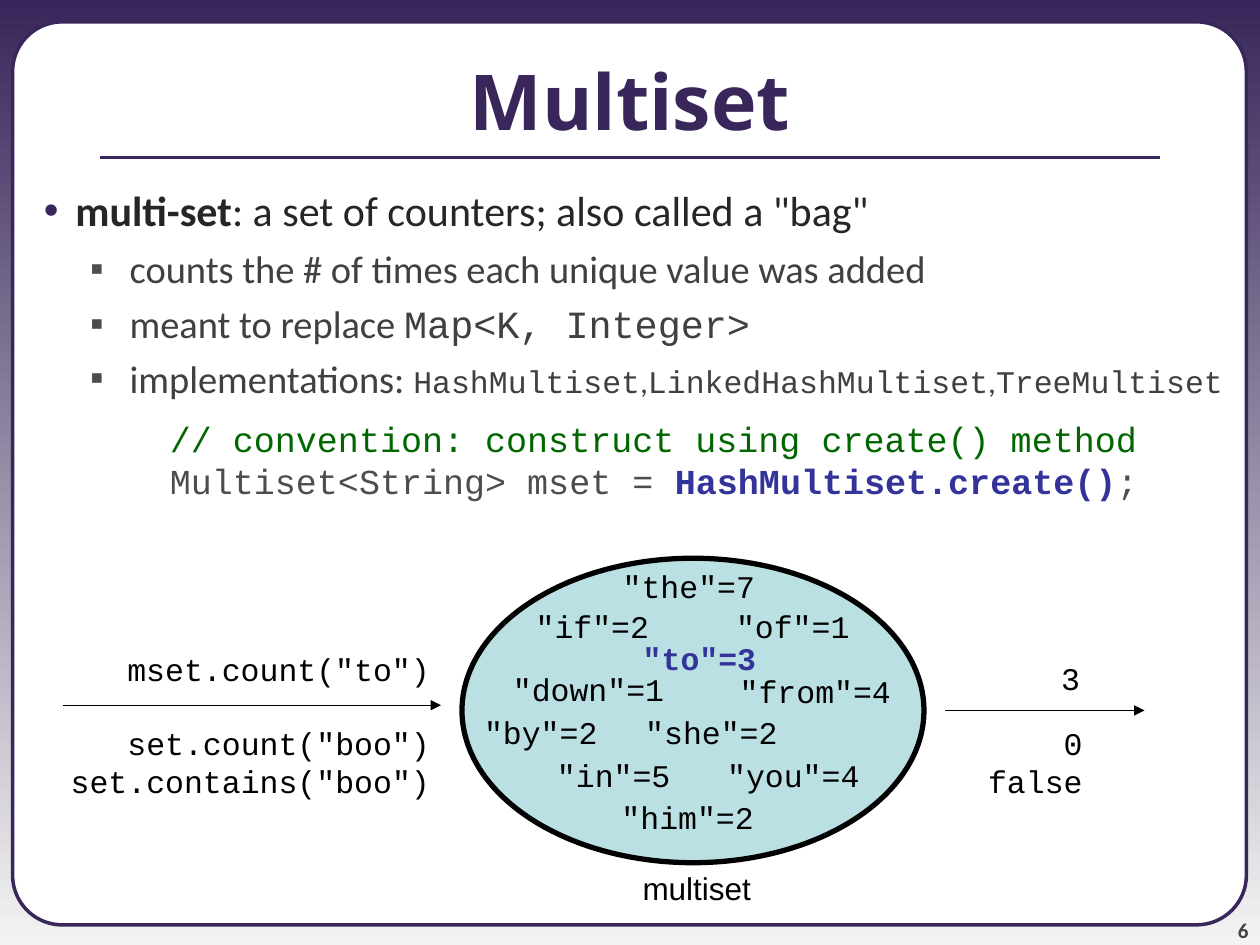
from lxml.etree import SubElement
from pptx import Presentation
from pptx.dml.color import RGBColor
from pptx.enum.shapes import MSO_CONNECTOR as CONN, MSO_SHAPE as SHAPE
from pptx.enum.text import MSO_ANCHOR as ANCHOR, MSO_AUTO_SIZE as AUTO, PP_ALIGN as ALIGN
from pptx.oxml.ns import qn
from pptx.util import Pt

rgb = RGBColor.from_string
PURPLE, BLACK, BLUE = "39275B", "000000", "333399"
GRAY, CODE_GRAY = "404040", "4D4D4D"
SANS, MONO = "Calibri", "Courier New"

prs = Presentation()
prs.slide_width, prs.slide_height = Pt(720), Pt(540)
s = prs.slides.add_slide(prs.slide_layouts[6])


def add_text(x, y, w, h, lines, align=ALIGN.LEFT, wrap=True):
    """Each line is a list of runs: (text, size, font, colour, bold)."""
    tf = s.shapes.add_textbox(Pt(x), Pt(y), Pt(w), Pt(h)).text_frame
    tf.word_wrap = wrap
    tf.auto_size = AUTO.NONE if wrap else AUTO.SHAPE_TO_FIT_TEXT
    for i, runs in enumerate(lines):
        p = tf.add_paragraph() if i else tf.paragraphs[0]
        p.alignment = align
        for text, size, font, color, bold in runs:
            r = p.add_run()
            r.text = text
            r.font.size, r.font.name, r.font.bold = Pt(size), font, bold
            r.font.color.rgb = rgb(color)
    return tf


def add_line(x1, x2, y, color, width, arrow=False):
    c = s.shapes.add_connector(CONN.STRAIGHT, Pt(x1), Pt(y), Pt(x2), Pt(y))
    c.line.color.rgb = rgb(color)
    c.line.width = Pt(width)
    if arrow:
        SubElement(c.line._get_or_add_ln(), qn("a:tailEnd"), type="triangle")
    SubElement(c._element.spPr, qn("a:effectLst"))


# Background gradient and white panel
bg = s.background.fill
bg.gradient()
bg.gradient_angle = 270
for stop, color in zip(bg.gradient_stops, (PURPLE, "F3F3F3")):
    stop.color.rgb = rgb(color)

panel = s.shapes.add_shape(SHAPE.ROUNDED_RECTANGLE, Pt(7.2), Pt(12.5), Pt(705), Pt(516))
panel.adjustments[0] = 0.055
panel.shadow.inherit = False
panel.fill.solid()
panel.fill.fore_color.rgb = rgb("FFFFFF")
panel.line.color.rgb = rgb(PURPLE)
panel.line.width = Pt(2)

# Slide number
tf = add_text(654, 510, 59.5, 28.5, [[("6", 12, SANS, "424242", True)]], ALIGN.RIGHT)
tf.vertical_anchor = ANCHOR.BOTTOM
tf.margin_left = tf.margin_right = tf.margin_top = tf.margin_bottom = 0

# Title with rule
add_line(57, 663, 90, PURPLE, 2.25)
tf = add_text(0, 12, 720, 90, [[("Multiset", 44, "Noto Sans", PURPLE, True)]], ALIGN.CENTER)
tf.vertical_anchor = ANCHOR.MIDDLE

# Bullets and code
comma = (",", 18, SANS, GRAY, False)
body = [
    [("multi-set", 24, SANS, "262626", True),
     (': a set of counters; also called a "bag"', 24, SANS, "262626", False)],
    [("counts the # of times each unique value was added", 22, SANS, GRAY, False)],
    [("meant to replace ", 22, SANS, GRAY, False),
     ("Map<K, Integer>", 22, MONO, GRAY, False)],
    [("implementations: ", 22, SANS, GRAY, False),
     ("HashMultiset", 18, MONO, GRAY, False), comma,
     ("LinkedHashMultiset", 18, MONO, GRAY, False), comma,
     ("TreeMultiset", 18, MONO, GRAY, False)],
    [("// convention: construct using create() method", 20, MONO, "006600", False)],
    [("Multiset<String> mset = ", 20, MONO, CODE_GRAY, False),
     ("HashMultiset.create()", 20, MONO, BLUE, True),
     (";", 20, MONO, CODE_GRAY, False)],
]
tf = add_text(0, 102, 720, 438, body)
# level: left margin, indent, bullet, bullet colour
levels = [(36, -18, "•", PURPLE), (67, -22.5, "▪", CODE_GRAY), (90, 0, None, None)]
layout = [(0, 0), (1, 5.5), (1, 5.5), (1, 4.5), (2, 14), (2, 5)]
for p, (level, before) in zip(tf.paragraphs, layout):
    margin, indent, bullet, color = levels[level]
    p.level = level
    pPr = p._p.get_or_add_pPr()
    pPr.set("marL", str(Pt(margin)))
    pPr.set("indent", str(Pt(indent)))
    if bullet:
        SubElement(SubElement(pPr, qn("a:buClr")), qn("a:srgbClr"), val=color)
        SubElement(pPr, qn("a:buFont"), typeface="Arial")
        SubElement(pPr, qn("a:buChar"), char=bullet)
    else:
        SubElement(pPr, qn("a:buNone"))
        p.line_spacing = 0.8
    p.space_before = Pt(before)

# Multiset ellipse
bag = s.shapes.add_shape(SHAPE.OVAL, Pt(264), Pt(319), Pt(264), Pt(174))
bag.shadow.inherit = False
bag.fill.solid()
bag.fill.fore_color.rgb = rgb("BBE0E3")
bag.line.color.rgb = rgb(BLACK)
bag.line.width = Pt(3)
add_text(360, 493.2, 76.3, 29, [[("multiset", 18, "Arial", BLACK, False)]], ALIGN.RIGHT, False)

# Call and result arrows
add_line(36, 252, 403, BLACK, 0.75, True)
add_line(540, 654, 406, BLACK, 0.75, True)

# Monospaced labels: right edge, top, lines
labels = [
    (252.7, 368, ['mset.count("to")']),
    (252.7, 410.4, ['set.count("boo")', 'set.contains("boo")']),
    (624.2, 373, ["3"]),
    (625.7, 410.4, ["0", "false"]),
    (438.5, 320.4, ['"the"=7']),
    (378, 343.4, ['"if"=2']),
    (492.5, 343.4, ['"of"=1']),
    (439.2, 361.4, ['"to"=3']),
    (386.6, 379.4, ['"down"=1']),
    (516.2, 380.2, ['"from"=4']),
    (348.5, 404, ['"by"=2']),
    (451.4, 404, ['"she"=2']),
    (390.2, 428.4, ['"in"=5']),
    (498.2, 428.4, ['"you"=4']),
    (437.8, 452.2, ['"him"=2']),
]
for right, top, lines in labels:
    w = 10.8 * max(len(line) for line in lines) + 14.4
    found = lines == ['"to"=3']
    runs = [[(line, 18, MONO, BLUE if found else BLACK, found)] for line in lines]
    add_text(right - w, top, w, 8 + 21 * len(lines), runs, ALIGN.RIGHT, False)

prs.save("out.pptx")
